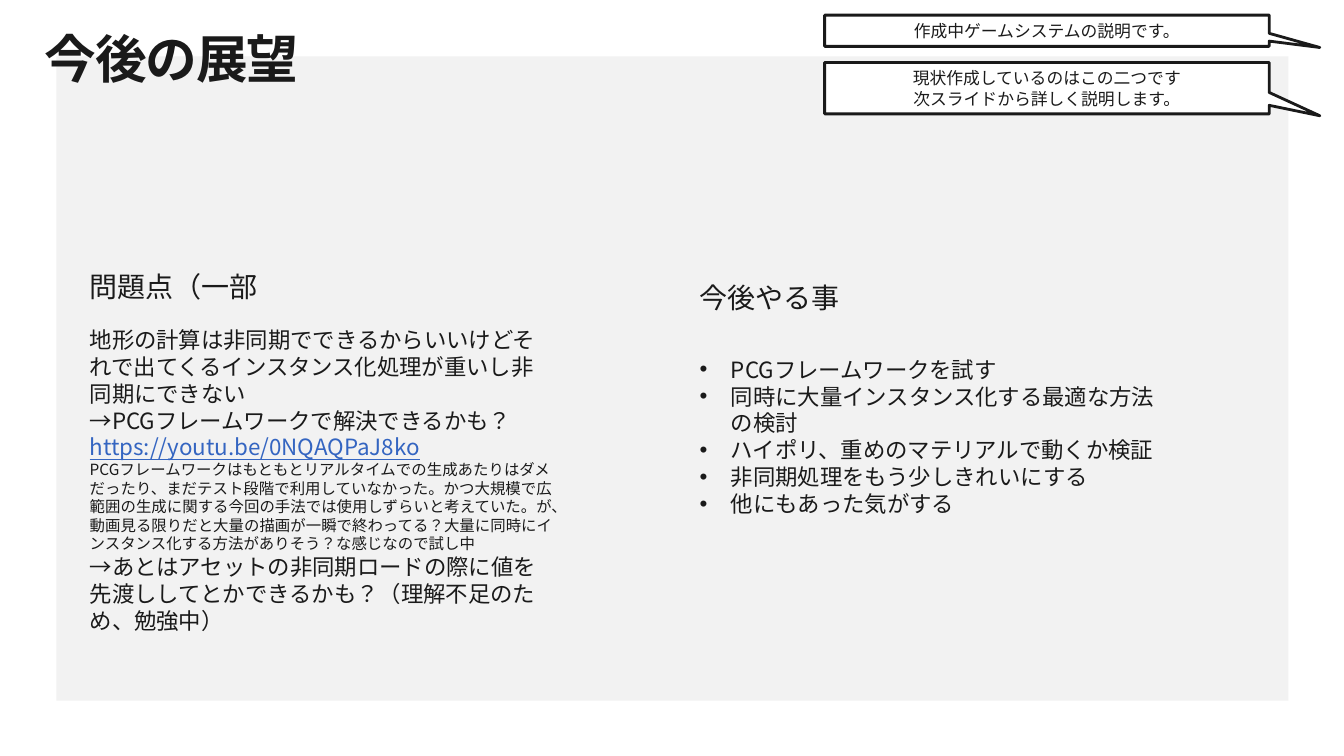
from dataclasses import dataclass
from typing import NamedTuple

from lxml.etree import SubElement as Sub
from pptx import Presentation
from pptx.dml.color import RGBColor as RGB
from pptx.enum.shapes import MSO_SHAPE as Shape
from pptx.enum.text import MSO_ANCHOR as Anchor, MSO_AUTO_SIZE as Fit, PP_ALIGN as Align
from pptx.oxml.ns import qn
from pptx.util import Inches, Pt

WIDE, HIGH = Inches(13.33), Inches(7.5)


@dataclass(frozen=True)
class Theme:
    face: str = "Noto Sans CJK JP"
    ink: str = "1A1A1A"
    paper: str = "FFFFFF"
    panel: str = "F2F2F2"
    link: str = "3465C1"
    title: float = 36.9
    head: float = 20
    body: float = 16
    note: float = 12
    small: float = 11
    line: float = 2
    pad: float = 0.05
    indent: float = 0.31


T = Theme()


class Box(NamedTuple):
    """Percent of the slide's width (x, w) and height (y, h)."""
    x: float
    y: float
    w: float
    h: float

    def place(self):
        return [int(side * part / 100) for side, part in zip((WIDE, HIGH, WIDE, HIGH), self)]


class Line(NamedTuple):
    text: str
    size: float = T.body
    color: str = T.ink
    look: dict = {}
    bullet: bool = False


def assign(item, values):
    for name, value in values.items():
        setattr(item, name, value)


def write(shape, lines, align=Align.LEFT, anchor=Anchor.MIDDLE, fit=Fit.SHAPE_TO_FIT_TEXT, track=0):
    frame = shape.text_frame
    pads = {f"margin_{side}": Inches(T.pad) for side in ("left", "top", "right", "bottom")}
    assign(frame, pads | {"word_wrap": True, "vertical_anchor": anchor, "auto_size": fit})
    for i, line in enumerate(lines):
        para = frame.paragraphs[0] if i == 0 else frame.add_paragraph()
        para.alignment = align
        if line.bullet:
            props = para._p.get_or_add_pPr()
            props.set("marL", str(Inches(T.indent)))
            props.set("indent", str(-Inches(T.indent)))
            Sub(props, qn("a:buFont"), typeface="Arial")
            Sub(props, qn("a:buChar"), char="•")
        run = para.add_run()
        run.text = line.text
        assign(run.font, {"name": T.face, "size": Pt(line.size)} | line.look)
        run.font.color.rgb = RGB.from_string(line.color)
        mark = run._r.get_or_add_rPr()
        mark.set("lang", "ja-JP")
        if track:
            mark.set("spc", str(track))
        Sub(mark, qn("a:ea"), typeface=T.face)


def label(slide, box, lines, **style):
    write(slide.shapes.add_textbox(*box.place()), lines, **style)


def panel(slide, box):
    shape = slide.shapes.add_shape(Shape.RECTANGLE, *box.place())
    shape.shadow.inherit = False
    shape.fill.solid()
    shape.fill.fore_color.rgb = RGB.from_string(T.panel)
    shape.line.fill.background()


def callout(slide, box, texts):
    shape = slide.shapes.add_shape(Shape.RECTANGULAR_CALLOUT, *box.place())
    shape.shadow.inherit = False
    shape.adjustments[0], shape.adjustments[1] = 0.614, 0.537
    shape.fill.solid()
    shape.fill.fore_color.rgb = RGB.from_string(T.paper)
    shape.line.color.rgb = RGB.from_string(T.ink)
    shape.line.width = Pt(T.line)
    write(shape, [Line(text, T.note) for text in texts], Align.CENTER)


def column(slide, box, head, lines, gap):
    """A heading over a body, with the gap between them in percent."""
    top = 5.87
    label(slide, Box(box.x, box.y, box.w * 0.7, top), [Line(head, T.head)])
    used = top + gap
    label(slide, Box(box.x, box.y + used, box.w, box.h - used), lines)


def outlook(slide):
    panel(slide, Box(4.2, 7.47, 91.67, 85.2))
    label(slide, Box(2.93, 2.93, 32.71, 9.73),
          [Line("今後の展望", T.title, look={"bold": True})],
          anchor=Anchor.TOP, fit=Fit.NONE, track=-80)
    callout(slide, Box(61.36, 2, 33.08, 4.13), ["作成中ゲームシステムの説明です。"])
    callout(slide, Box(61.36, 8.27, 33.08, 6.8),
            ["現状作成しているのはこの二つです", "次スライドから詳しく説明します。"])
    column(slide, Box(6.3, 34.93, 35.41, 49.73), "問題点（一部", [
        Line("地形の計算は非同期でできるからいいけどそれで出てくるインスタンス化処理が重いし非同期にできない"),
        Line("→PCGフレームワークで解決できるかも？"),
        Line("https://youtu.be/0NQAQPaJ8ko", color=T.link, look={"underline": True}),
        Line("PCGフレームワークはもともとリアルタイムでの生成あたりはダメだったり、"
             "まだテスト段階で利用していなかった。かつ大規模で広範囲の生成に関する今回の手法では"
             "使用しずらいと考えていた。が、動画見る限りだと大量の描画が一瞬で終わってる？"
             "大量に同時にインスタンス化する方法がありそう？な感じなので試し中", T.small),
        Line("→あとはアセットの非同期ロードの際に値を先渡ししてとかできるかも？（理解不足のため、勉強中）"),
    ], gap=1.47)
    tasks = ["PCGフレームワークを試す", "同時に大量インスタンス化する最適な方法の検討",
             "ハイポリ、重めのマテリアルで動くか検証", "非同期処理をもう少しきれいにする",
             "他にもあった気がする"]
    column(slide, Box(51.69, 36.4, 35.41, 32.8), "今後やる事",
           [Line(task, bullet=True) for task in tasks], gap=4)


def main():
    deck = Presentation()
    assign(deck, {"slide_width": WIDE, "slide_height": HIGH})
    outlook(deck.slides.add_slide(deck.slide_layouts[6]))
    deck.save("out.pptx")


if __name__ == "__main__":
    main()
